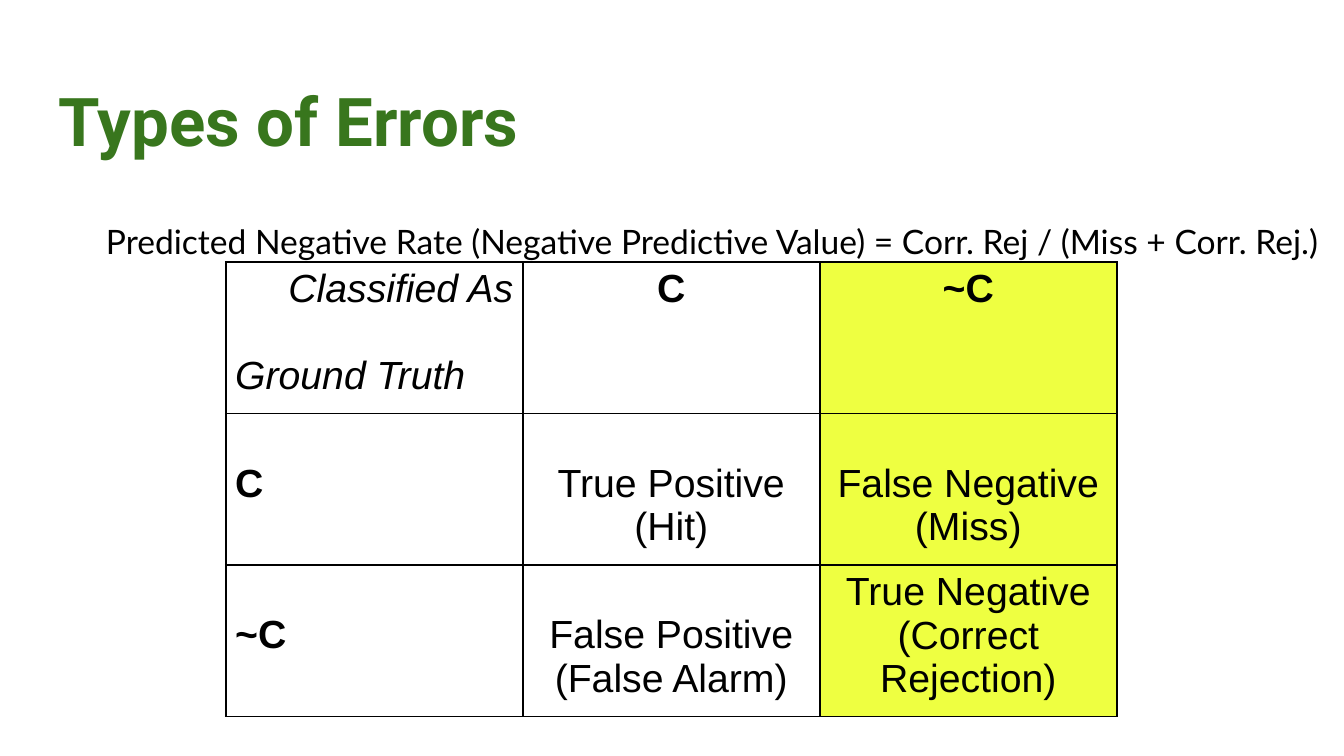
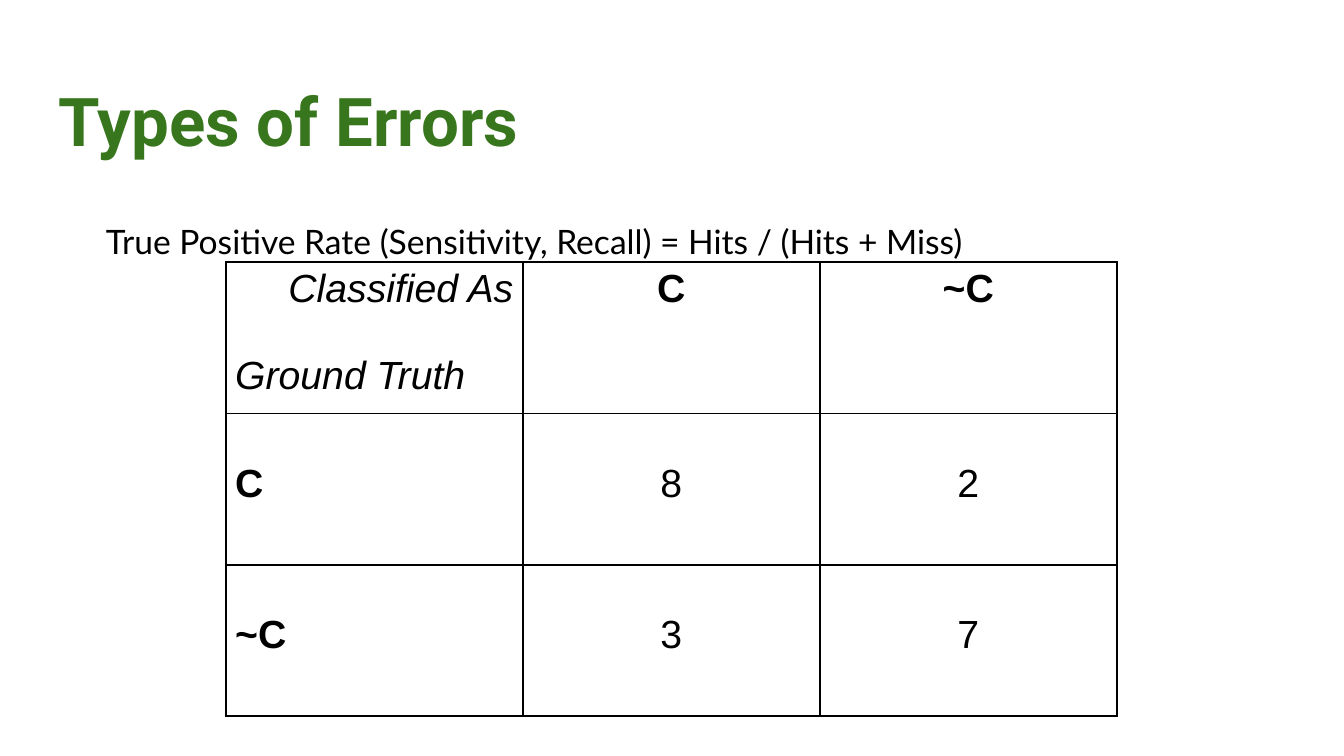
from lxml import etree
from pptx import Presentation
from pptx import util as u
from pptx.dml.color import RGBColor
from pptx.enum import text
from pptx.oxml.ns import qn

WIDTH = 10
HEIGHT = WIDTH * 9 / 16
GREEN, BLACK, WHITE, YELLOW = "38761D", "000000", "FFFFFF", "EEFF41"
LEFT, CENTER, RIGHT = text.PP_ALIGN.LEFT, text.PP_ALIGN.CENTER, text.PP_ALIGN.RIGHT

TITLE = "Types of Errors"
CLASSES = ["C", "~C"]
CORNER = [("Classified As", RIGHT), ("Ground Truth", LEFT)]
SLIDES = [
    {
        "formula": "Predicted Negative Rate (Negative Predictive Value) = Corr. Rej / (Miss + Corr. Rej.)",
        "width": 9.22,
        "outcomes": [
            [["True Positive", "(Hit)"], ["False Negative", "(Miss)"]],
            [["False Positive", "(False Alarm)"], ["True Negative", "(Correct Rejection)"]],
        ],
        "column_fills": [None, WHITE, YELLOW],
    },
    {
        "formula": "True Positive Rate (Sensitivity, Recall) = Hits / (Hits + Miss)",
        "width": 8.62,
        "outcomes": [[["8"], ["2"]], [["3"], ["7"]]],
        "column_fills": [None, None, None],
    },
]

TABLE_BOX = (1.68, 1.95, 6.63, 3.38)
CELL_SIZE, CELL_LINE = 21, 23
CELL_SIDE, CELL_EDGE = 0.07, 0.04


def color(value):
    return RGBColor.from_string(value)


def add_run(paragraph, words, font_name, size, fill, bold=False, italic=False):
    run = paragraph.add_run()
    run.text = words
    font = run.font
    font.name, font.size, font.bold, font.italic = font_name, u.Pt(size), bold, italic
    font.color.rgb = color(fill)


def add_text(slide, box, words, font_name, size, fill, bold=False, spacing=1.0):
    frame = slide.shapes.add_textbox(*map(u.Inches, box)).text_frame
    frame.word_wrap = True
    frame.margin_left = frame.margin_right = u.Inches(0.1)
    frame.margin_top = frame.margin_bottom = u.Inches(0.1)
    paragraph = frame.paragraphs[0]
    paragraph.line_spacing = spacing
    add_run(paragraph, words, font_name, size, fill, bold)


def add_borders(cell):
    properties = cell._tc.get_or_add_tcPr()
    for side in ("a:lnL", "a:lnR", "a:lnT", "a:lnB"):
        line = etree.SubElement(properties, qn(side), w=str(u.Pt(1)))
        solid = etree.SubElement(line, qn("a:solidFill"))
        etree.SubElement(solid, qn("a:srgbClr"), val=BLACK)


def fill_cell(cell, lines, fill=None, bold=False, italic=False, lowered=False, gap=0):
    add_borders(cell)
    if fill:
        cell.fill.solid()
        cell.fill.fore_color.rgb = color(fill)
    else:
        cell.fill.background()
    cell.margin_left = cell.margin_right = u.Inches(CELL_SIDE)
    cell.margin_bottom = u.Inches(CELL_EDGE)
    cell.margin_top = u.Inches(CELL_EDGE) + (u.Pt(CELL_LINE) if lowered else 0)
    frame = cell.text_frame
    for index, (words, alignment) in enumerate(lines):
        paragraph = frame.add_paragraph() if index else frame.paragraphs[0]
        paragraph.alignment = alignment
        if index and gap:
            paragraph.space_before = u.Pt(gap)
        add_run(paragraph, words, "Arial", CELL_SIZE, BLACK, bold, italic)


def add_matrix(slide, outcomes, fills):
    count = len(CLASSES) + 1
    table = slide.shapes.add_table(count, count, *map(u.Inches, TABLE_BOX)).table
    table.first_row = table.horz_banding = False
    fill_cell(table.cell(0, 0), CORNER, fills[0], italic=True, gap=CELL_LINE)
    for number, label in enumerate(CLASSES, 1):
        fill_cell(table.cell(0, number), [(label, CENTER)], fills[number], bold=True)
        fill_cell(table.cell(number, 0), [(label, LEFT)], fills[0], bold=True, lowered=True)
        for column, words in enumerate(outcomes[number - 1], 1):
            lines = [(line, CENTER) for line in words]
            wraps = "(Correct Rejection)" in words
            fill_cell(table.cell(number, column), lines, fills[column], lowered=not wraps)


def main():
    presentation = Presentation()
    presentation.slide_width = u.Inches(WIDTH)
    presentation.slide_height = u.Inches(HEIGHT)
    for content in SLIDES:
        slide = presentation.slides.add_slide(presentation.slide_layouts[6])
        add_text(slide, (0.34, 0.49, 9.32, 0.63), TITLE, "Roboto", 36, GREEN, bold=True)
        add_text(slide, (0.69, 1.5, content["width"], 4.13), content["formula"],
                 "Lato", 18, BLACK, spacing=1.15)
        add_matrix(slide, content["outcomes"], content["column_fills"])
    presentation.save("out.pptx")


if __name__ == "__main__":
    main()
